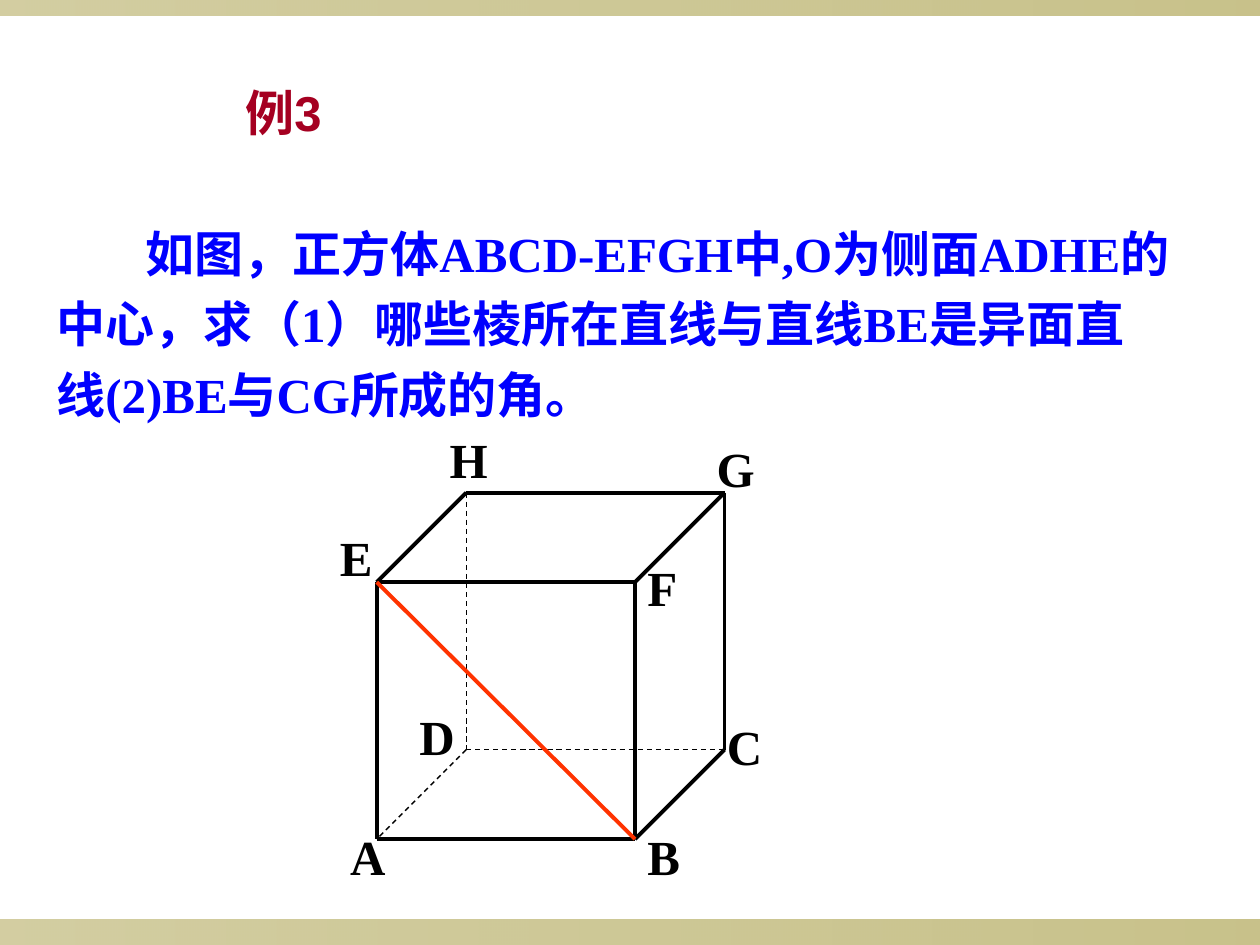
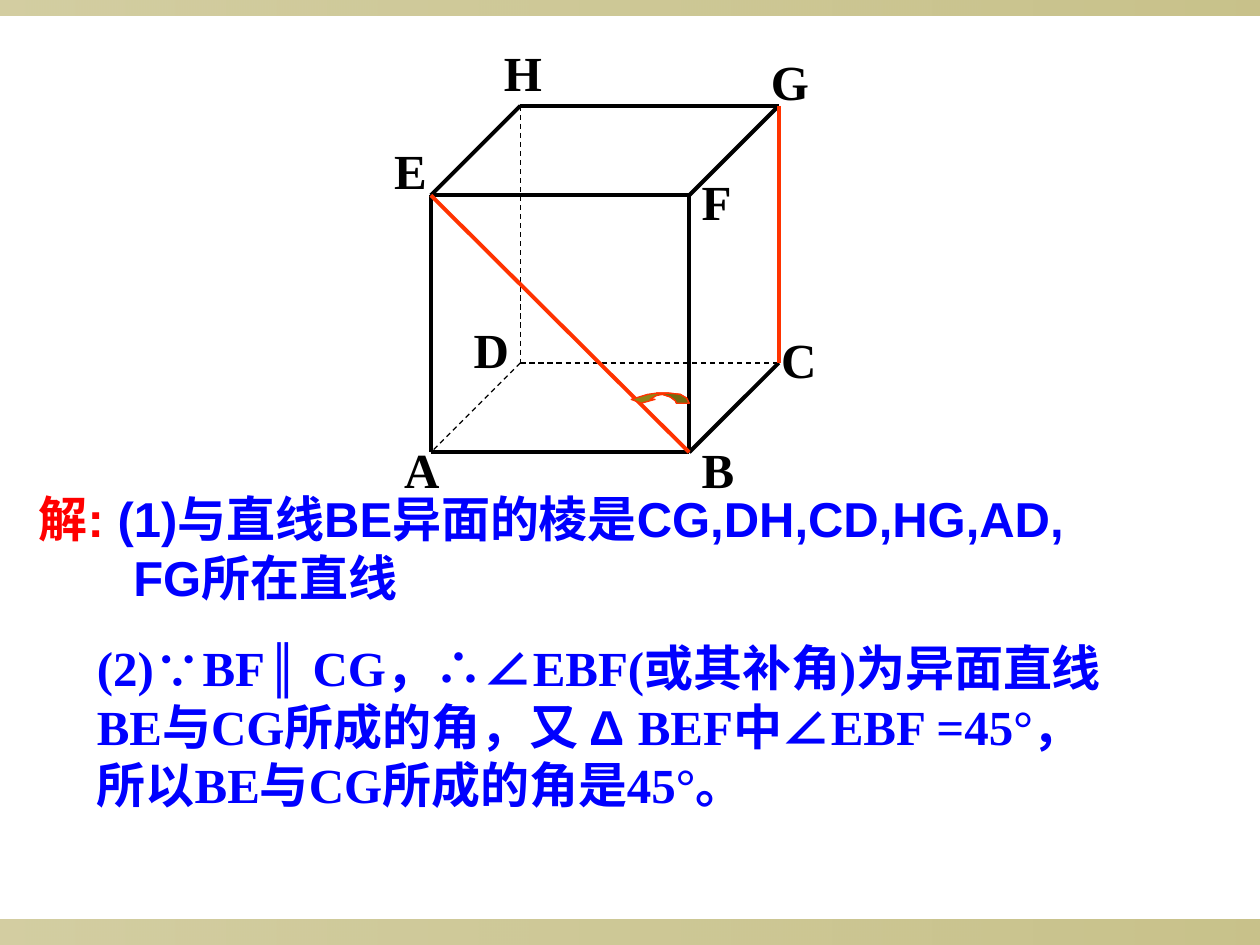
from lxml import etree
from pptx import Presentation
from pptx.dml.color import RGBColor
from pptx.enum import dml, shapes, text
from pptx.oxml import ns
from pptx.util import Pt

PX = 9144
BLACK, BLUE, RED, CRIMSON, ORANGE, OLIVE, DARK_OLIVE = (
    "000000", "0000FF", "FF0000", "A50021", "FF3300", "918415", "746A11")
SERIF, SANS, CJK = "Times New Roman", "Arial", "Noto Sans CJK SC"


def color(value):
    return RGBColor.from_string(value)


def add_text(parent, left, top, width, height, paragraphs, wrap=False, spacing=33.6):
    box = parent.add_textbox(left * PX, top * PX, width * PX, height * PX)
    frame = box.text_frame
    frame.word_wrap = wrap
    frame.auto_size = text.MSO_AUTO_SIZE.SHAPE_TO_FIT_TEXT
    for index, (margin, indent, runs) in enumerate(paragraphs):
        paragraph = frame.add_paragraph() if index else frame.paragraphs[0]
        paragraph.line_spacing = Pt(spacing)
        properties = paragraph._p.get_or_add_pPr()
        properties.set("marL", str(margin * PX))
        properties.set("indent", str(indent * PX))
        for words, font, shade in runs:
            run = paragraph.add_run()
            run.text = words
            run.font.size = Pt(28)
            run.font.bold = True
            run.font.name = font
            run.font.color.rgb = color(shade)
            east_asian = etree.SubElement(run._r.get_or_add_rPr(), ns.qn("a:ea"))
            east_asian.set("typeface", CJK)


presentation = Presentation()
presentation.slide_width = 1000 * PX
presentation.slide_height = 750 * PX

vertices = {"A": (299, 666), "B": (504, 666), "G": (575, 391), "F": (504, 462),
            "H": (370, 391), "E": (299, 462), "D": (370, 595), "C": (575, 595)}
labels = {"A": (268, 651, 48), "B": (504, 651, 46), "G": (559, 343, 50),
          "F": (504, 438, 44), "H": (347, 336, 50), "E": (260, 414, 46),
          "D": (323, 556, 48), "C": (567, 564, 48)}
hidden_edges = ["HD", "DA", "DC"]
visible_edges = ["EA", "FB", "EF", "HG", "AB", "GF", "CB", "HE", "GC", "EB"]

cubes = [(0, 0, ["EB"]), (43, -307, ["EB", "GC"])]
slides = []
for shift_x, shift_y, highlighted in cubes:
    slide = presentation.slides.add_slide(presentation.slide_layouts[6])
    slides.append(slide)
    for top, height in [(730, 20), (0, 12)]:
        band = slide.shapes.add_shape(
            shapes.MSO_SHAPE.RECTANGLE, 0, top * PX, 1000 * PX, height * PX)
        band.shadow.inherit = False
        band.line.fill.background()
        band.fill.gradient()
        band.fill.gradient_angle = 0
        for stop in band.fill.gradient_stops:
            stop.color.rgb = color(OLIVE)
        fill_colors = band._element.spPr.iter(ns.qn("a:srgbClr"))
        for fill_color, opacity in zip(list(fill_colors), (40, 50)):
            etree.SubElement(fill_color, ns.qn("a:alpha")).set("val", str(opacity * 1000))

    cube = slide.shapes.add_group_shape()
    for name, (left, top, width) in labels.items():
        add_text(cube.shapes, left + shift_x, top + shift_y, width, 57,
                 [(0, 0, [(name, SERIF, BLACK)])])
    for edge in hidden_edges + visible_edges:
        (x1, y1), (x2, y2) = vertices[edge[0]], vertices[edge[1]]
        line = cube.shapes.add_connector(
            shapes.MSO_CONNECTOR.STRAIGHT, (x1 + shift_x) * PX, (y1 + shift_y) * PX,
            (x2 + shift_x) * PX, (y2 + shift_y) * PX)
        line.line.color.rgb = color(ORANGE if edge in highlighted else BLACK)
        line.line.width = Pt(0.75 if edge in hidden_edges else 2.25)
        if edge in hidden_edges:
            line.line.dash_style = dml.MSO_LINE.DASH
        etree.SubElement(line._element.spPr, ns.qn("a:effectLst"))

question, solution = slides

add_text(question.shapes, 185, 61, 90, 57, [(0, 0, [("例3", SANS, CRIMSON)])])
question_runs = [
    ("如图，正方体", CJK), ("ABCD-EFGH", SERIF), ("中", CJK), (",O", SERIF),
    ("为侧面", CJK), ("ADHE", SERIF), ("的中心，求", CJK), ("（1）", SERIF),
    ("哪些棱所在直线与直线", CJK), ("BE", SERIF), ("是异面直线", CJK),
    ("(2)BE", SERIF), ("与", CJK), ("CG", SERIF), ("所成的角。", CJK)]
add_text(question.shapes, 35, 163, 906, 178,
         [(0, 71, [(words, font, BLUE) for words, font in question_runs])],
         wrap=True, spacing=40.3)

angle_arrow = [(547, 320), (545, 316), (540, 313), (531, 312), (521, 312), (514, 313),
               (501, 317), (509, 320), (520, 317), (516, 317), (521, 314), (526, 313),
               (532, 315), (536, 318), (537, 320)]
angle_shade = [(547, 320), (545, 316), (540, 313), (531, 312), (521, 312), (526, 313),
               (532, 315), (536, 318), (537, 320)]
for outline, fill in [(angle_arrow, OLIVE), (angle_shade, DARK_OLIVE)]:
    builder = solution.shapes.build_freeform(*outline[0], scale=PX)
    builder.add_line_segments(outline[1:], close=True)
    arc = builder.convert_to_shape()
    arc.shadow.inherit = False
    arc.fill.solid()
    arc.fill.fore_color.rgb = color(fill)
    arc.line.color.rgb = color(ORANGE)
    arc.line.width = Pt(0.75)

add_text(solution.shapes, 21, 383, 880, 104, [
    (0, 0, [("解: ", SANS, RED), ("(1)与直线BE异面的棱是CG,DH,CD,HG,AD,", SANS, BLUE)]),
    (75, 0, [("FG所在直线", SANS, BLUE)])])
add_text(solution.shapes, 67, 501, 819, 198, [(0, 0, [
    ("(2)∵BF∥ CG，∴∠EBF(或其补角)为异面直线 BE与CG所成的角，又 ", SERIF, BLUE),
    ("Δ ", SANS, BLUE),
    ("BEF中∠EBF =45°，所以BE与CG所成的角是45°。", SERIF, BLUE)])], wrap=True)

presentation.save("out.pptx")
